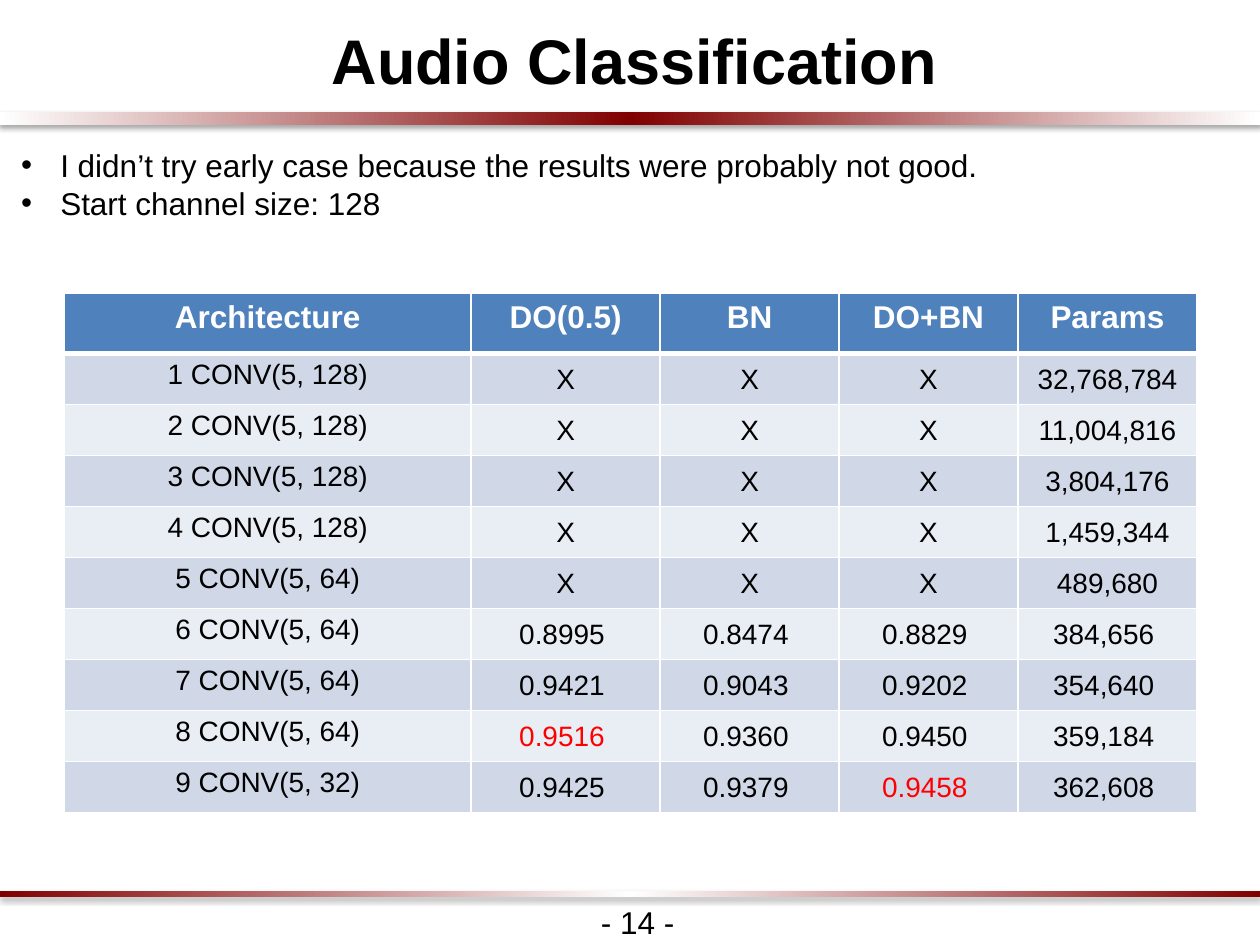
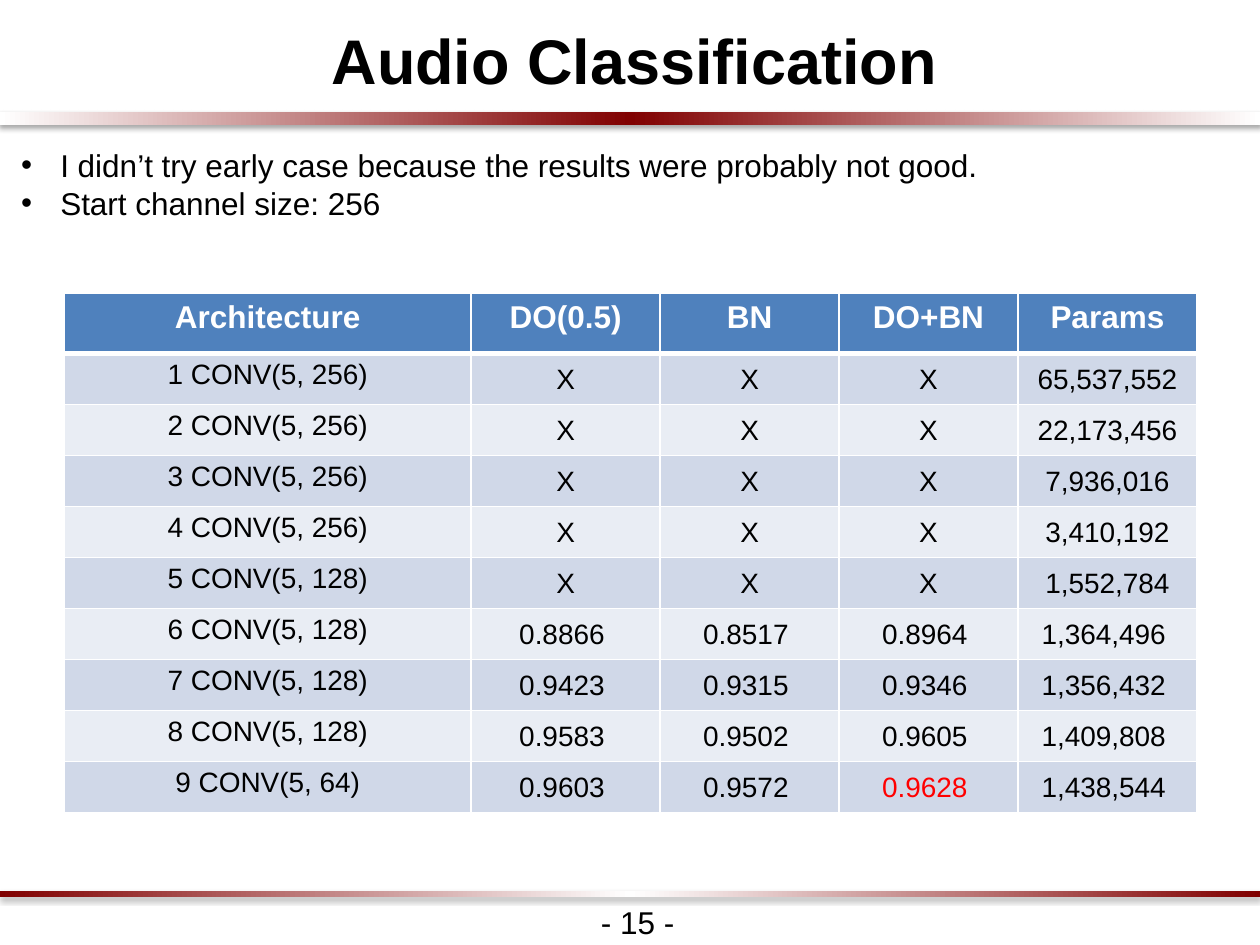
from dataclasses import dataclass
from typing import NamedTuple

from lxml.etree import SubElement
from pptx import Presentation
from pptx.dml.color import RGBColor as RGB
from pptx.enum.shapes import MSO_SHAPE as Shape
from pptx.enum.text import MSO_ANCHOR as Anchor, MSO_AUTO_SIZE as AutoSize, PP_ALIGN as Align
from pptx.oxml.ns import qn
from pptx.util import Inches, Pt

FONT = "Arial"
COLORS = {
    "text": "000000",
    "paper": "FFFFFF",
    "maroon": "800000",
    "header": "4F81BD",
    "odd": "D0D8E8",
    "even": "E9EDF4",
    "best": "FF0000",
}
GRID_COLS, GRID_ROWS = 100, 75
WIDTH, HEIGHT = Inches(10), Inches(7.5)


class Box(NamedTuple):
    left: float
    top: float
    width: float
    height: float


class Band(NamedTuple):
    box: Box
    edge: str
    middle: str


@dataclass(frozen=True)
class Result:
    scores: tuple[str, str, str]
    params: str


@dataclass(frozen=True)
class Experiment:
    page: int
    channels: int
    results: tuple[Result, ...]
    best: frozenset[str]


TITLE_BOX = Box(-2.3, 0.3, 104.5, 7.9)
NOTES_BOX = Box(0.7, 11.1, 94.2, 10.6)
PAGE_BOX = Box(46.7, 71.2, 7.9, 4)
TABLE_BOX = Box(5.1, 23.3, 89.9, 41.2)
COL_WIDTHS = (32.3, 15, 14.2, 14.2, 14.2)
BODY_ROW = 4.05
HEADERS = ("Architecture", "DO(0.5)", "BN", "DO+BN", "Params")
BANDS = (
    Band(Box(0, 8.9, 100, 1), "paper", "maroon"),
    Band(Box(0, 70.7, 100, 0.5), "maroon", "paper"),
)
UNTRIED = ("X", "X", "X")

EXPERIMENTS = (
    Experiment(14, 128, (
        Result(UNTRIED, "32,768,784"),
        Result(UNTRIED, "11,004,816"),
        Result(UNTRIED, "3,804,176"),
        Result(UNTRIED, "1,459,344"),
        Result(UNTRIED, "489,680"),
        Result(("0.8995", "0.8474", "0.8829"), "384,656"),
        Result(("0.9421", "0.9043", "0.9202"), "354,640"),
        Result(("0.9516", "0.9360", "0.9450"), "359,184"),
        Result(("0.9425", "0.9379", "0.9458"), "362,608"),
    ), frozenset({"0.9516", "0.9458"})),
    Experiment(15, 256, (
        Result(UNTRIED, "65,537,552"),
        Result(UNTRIED, "22,173,456"),
        Result(UNTRIED, "7,936,016"),
        Result(UNTRIED, "3,410,192"),
        Result(UNTRIED, "1,552,784"),
        Result(("0.8866", "0.8517", "0.8964"), "1,364,496"),
        Result(("0.9423", "0.9315", "0.9346"), "1,356,432"),
        Result(("0.9583", "0.9502", "0.9605"), "1,409,808"),
        Result(("0.9603", "0.9572", "0.9628"), "1,438,544"),
    ), frozenset({"0.9628"})),
)


def col(n: float) -> int:
    return round(WIDTH * n / GRID_COLS)


def row(n: float) -> int:
    return round(HEIGHT * n / GRID_ROWS)


def place(box: Box) -> tuple[int, int, int, int]:
    return col(box.left), row(box.top), col(box.width), row(box.height)


def add_color(parent, color: str):
    return SubElement(parent, qn("a:srgbClr"), val=COLORS[color])


def style(tf, size: float, color: str = "text", bold: bool = False) -> None:
    for p in tf.paragraphs:
        for r in p.runs:
            r.font.name = FONT
            r.font.size = Pt(size)
            r.font.bold = bold
            r.font.color.rgb = RGB.from_string(COLORS[color])


def add_text(slide, box: Box, text: str, size: float, bold: bool = False):
    tf = slide.shapes.add_textbox(*place(box)).text_frame
    tf.word_wrap = True
    tf.text = text
    style(tf, size, bold=bold)
    return tf


def add_band(slide, band: Band) -> None:
    sp = slide.shapes.add_shape(Shape.RECTANGLE, *place(band.box))
    sp.line.fill.background()
    sp.fill.gradient()
    sp.fill.gradient_angle = 0
    sp.shadow.inherit = False
    props = sp.element.spPr
    stops = props.find(qn("a:gradFill")).find(qn("a:gsLst"))
    for stop in list(stops):
        stops.remove(stop)
    for pos, color in ((0, band.edge), (50, band.middle), (100, band.edge)):
        add_color(SubElement(stops, qn("a:gs"), pos=str(pos * 1000)), color)
    shadow = SubElement(props.find(qn("a:effectLst")), qn("a:outerShdw"),
                        blurRad=str(Pt(3.1)), dist=str(Pt(1.8)),
                        dir="5400000", rotWithShape="0")
    SubElement(add_color(shadow, "text"), qn("a:alpha"), val="35000")


def add_title(slide) -> None:
    tf = add_text(slide, TITLE_BOX, "Audio Classification", 36, bold=True)
    tf.vertical_anchor = Anchor.MIDDLE
    tf.margin_top = tf.margin_bottom = row(1)
    p = tf.paragraphs[0]
    p.alignment = Align.CENTER
    p.line_spacing = 1.15
    p._p.get_or_add_pPr().set("marL", str(col(0.8)))


def add_notes(slide, channels: int) -> None:
    lines = ("I didn’t try early case because the results were probably not good.",
             f"Start channel size: {channels}")
    tf = add_text(slide, NOTES_BOX, "\n".join(lines), 18)
    for p in tf.paragraphs:
        props = p._p.get_or_add_pPr()
        props.set("marL", str(col(3.1)))
        props.set("indent", str(-col(3.1)))
        add_color(SubElement(props, qn("a:buClr")), "text")
        SubElement(props, qn("a:buFont"), typeface=FONT)
        SubElement(props, qn("a:buChar"), char="•")


def add_page_number(slide, page: int) -> None:
    tf = add_text(slide, PAGE_BOX, f"- {page} -", 18)
    tf.word_wrap = False
    tf.auto_size = AutoSize.SHAPE_TO_FIT_TEXT


def style_cell(cell, i: int, j: int, result: Result | None, best: frozenset[str]) -> None:
    props = cell._tc.get_or_add_tcPr()
    widths = {"L": 1, "R": 1, "T": 3 if i == 1 else 1, "B": 3 if i == 0 else 1}
    for side, width in widths.items():
        line = SubElement(props, qn(f"a:ln{side}"), w=str(Pt(width)))
        add_color(SubElement(line, qn("a:solidFill")), "paper")
    cell.fill.solid()
    band = "header" if i == 0 else "odd" if i % 2 else "even"
    cell.fill.fore_color.rgb = RGB.from_string(COLORS[band])
    cell.text_frame.paragraphs[0].alignment = Align.CENTER
    if result is None:
        style(cell.text_frame, 18, "paper", bold=True)
        return
    style(cell.text_frame, 16, "best" if cell.text in best else "text")
    if j > 0:
        cell.vertical_anchor = Anchor.MIDDLE
        cell.margin_left = col(0.1)
        cell.margin_right = col(0.1 if result.scores == UNTRIED else 0.7)
        cell.margin_top, cell.margin_bottom = row(0.1), 0


def architecture(layers: int, channels: int) -> str:
    return f"{layers} CONV(5, {channels // 2 ** ((layers - 1) // 4)})"


def add_results(slide, exp: Experiment) -> None:
    count = len(exp.results)
    table = slide.shapes.add_table(count + 1, len(HEADERS), *place(TABLE_BOX)).table
    table.first_row = table.horz_banding = False
    for column, width in zip(table.columns, COL_WIDTHS):
        column.width = col(width)
    for i, result in enumerate((None, *exp.results)):
        table.rows[i].height = row(BODY_ROW if result else TABLE_BOX.height - count * BODY_ROW)
        texts = (architecture(i, exp.channels), *result.scores, result.params) if result else HEADERS
        for j, text in enumerate(texts):
            cell = table.cell(i, j)
            cell.text = text
            style_cell(cell, i, j, result, exp.best)


def add_experiment(prs, exp: Experiment) -> None:
    slide = prs.slides.add_slide(prs.slide_layouts[6])
    for band in BANDS:
        add_band(slide, band)
    add_title(slide)
    add_notes(slide, exp.channels)
    add_page_number(slide, exp.page)
    add_results(slide, exp)


def main() -> None:
    prs = Presentation()
    prs.slide_width, prs.slide_height = WIDTH, HEIGHT
    for exp in EXPERIMENTS:
        add_experiment(prs, exp)
    prs.save("out.pptx")


if __name__ == "__main__":
    main()
